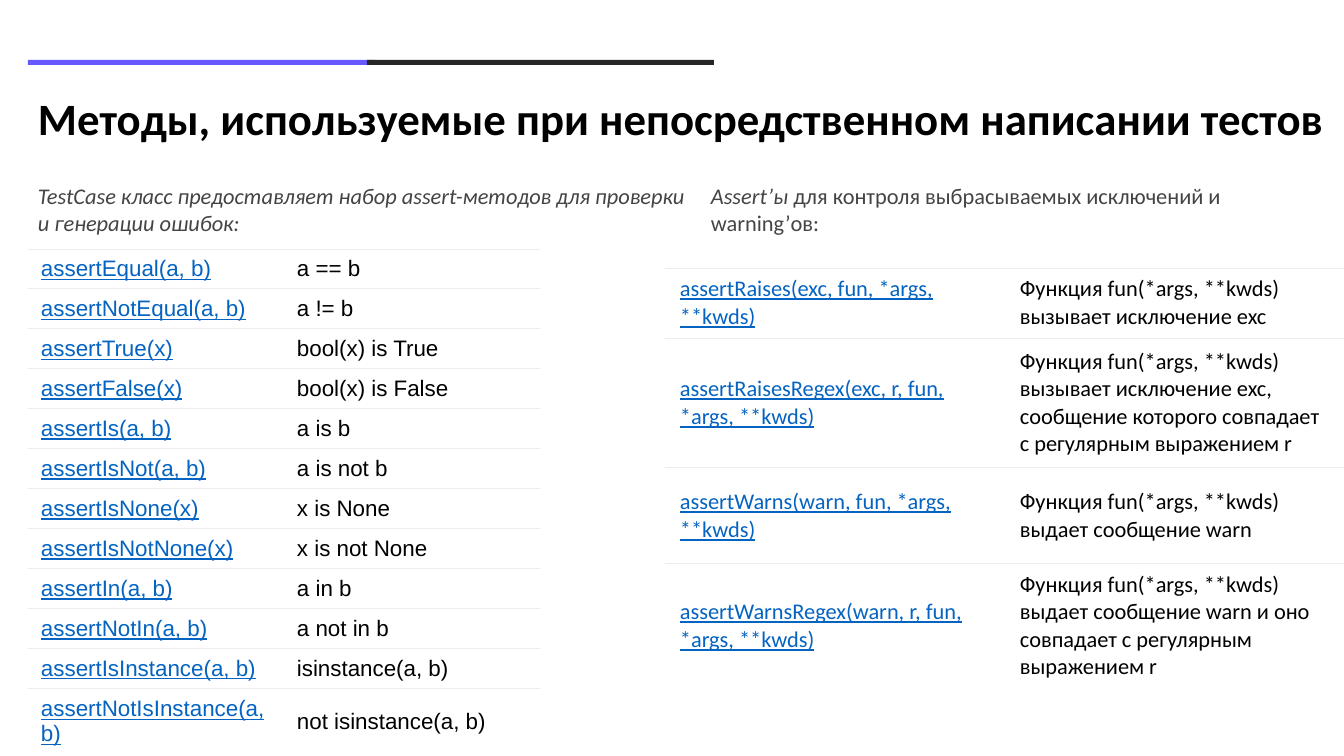
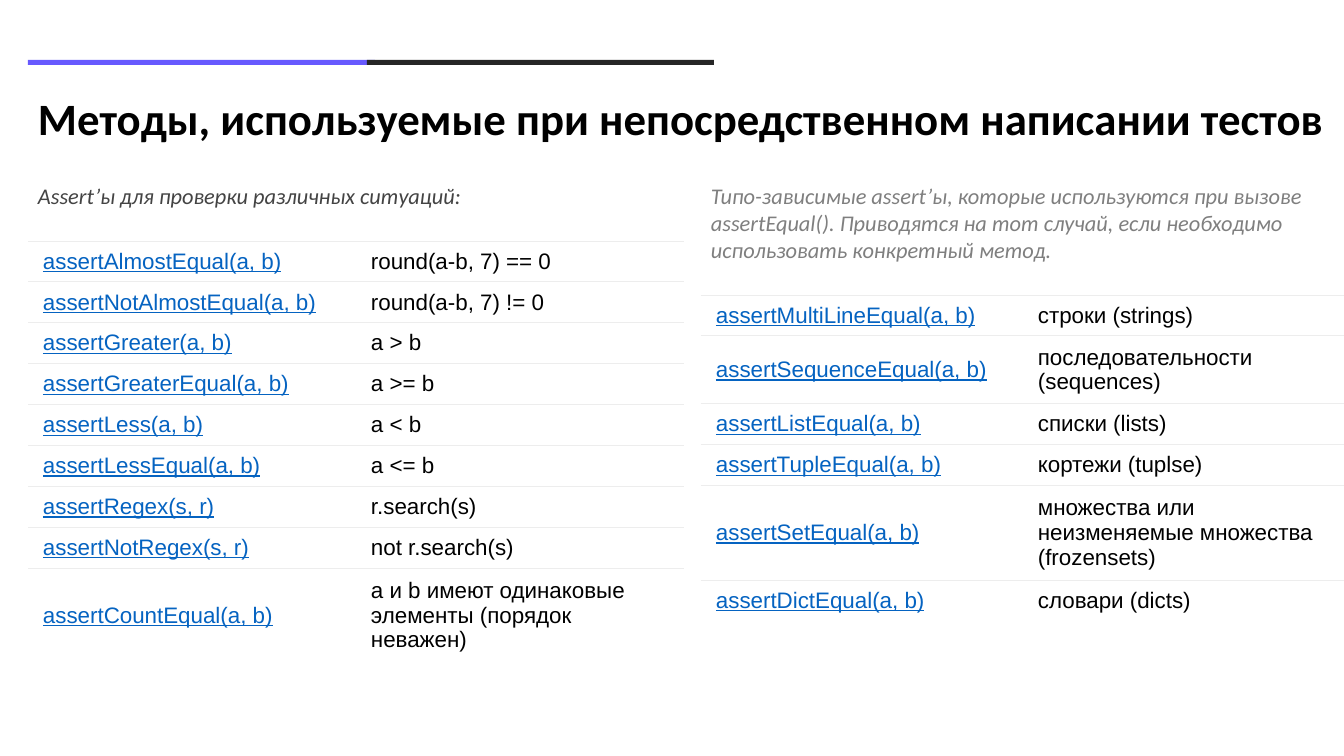
import pptx
import pptx.util
import pptx.dml.color
import pptx.enum.shapes
import pptx.enum.text
import pptx.oxml

PX = 9071.43  # EMU in one px (100.8 px to the inch)
SLIDE_W, SLIDE_H = 1344, 756
LEFT, RIGHT = 28, 701  # left edges of the two columns
VIOLET, DARK, BLACK, WHITE = "6759FE", "262626", "000000", "FFFFFF"
GRAY, LIGHT_GRAY, LINK, RULE = "444444", "7F7F7F", "0563C1", "EDEDED"
TITLE = "Методы, используемые при непосредственном написании тестов"

# Table rows: method and meaning
BASIC_ASSERTS = [
    ("assertEqual(a, b)", "a == b"),
    ("assertNotEqual(a, b)", "a != b"),
    ("assertTrue(x)", "bool(x) is True"),
    ("assertFalse(x)", "bool(x) is False"),
    ("assertIs(a, b)", "a is b"),
    ("assertIsNot(a, b)", "a is not b"),
    ("assertIsNone(x)", "x is None"),
    ("assertIsNotNone(x)", "x is not None"),
    ("assertIn(a, b)", "a in b"),
    ("assertNotIn(a, b)", "a not in b"),
    ("assertIsInstance(a, b)", "isinstance(a, b)"),
    ("assertNotIsInstance(a, b)", "not isinstance(a, b)"),
]
EXCEPTION_ASSERTS = [
    ("assertRaises(exc, fun, *args, **kwds)",
     "Функция fun(*args, **kwds) вызывает исключение exc"),
    ("assertRaisesRegex(exc, r, fun, *args, **kwds)",
     "Функция fun(*args, **kwds) вызывает исключение exc, "
     "сообщение которого совпадает с регулярным выражением r"),
    ("assertWarns(warn, fun, *args, **kwds)",
     "Функция fun(*args, **kwds) выдает сообщение warn"),
    ("assertWarnsRegex(warn, r, fun, *args, **kwds)",
     "Функция fun(*args, **kwds) выдает сообщение warn "
     "и оно совпадает с регулярным выражением r"),
]
SITUATION_ASSERTS = [
    ("assertAlmostEqual(a, b)", "round(a-b, 7) == 0"),
    ("assertNotAlmostEqual(a, b)", "round(a-b, 7) != 0"),
    ("assertGreater(a, b)", "a > b"),
    ("assertGreaterEqual(a, b)", "a >= b"),
    ("assertLess(a, b)", "a < b"),
    ("assertLessEqual(a, b)", "a <= b"),
    ("assertRegex(s, r)", "r.search(s)"),
    ("assertNotRegex(s, r)", "not r.search(s)"),
    ("assertCountEqual(a, b)",
     "a и b имеют одинаковые элементы (порядок неважен)"),
]
TYPE_ASSERTS = [
    ("assertMultiLineEqual(a, b)", "строки (strings)"),
    ("assertSequenceEqual(a, b)", "последовательности (sequences)"),
    ("assertListEqual(a, b)", "списки (lists)"),
    ("assertTupleEqual(a, b)", "кортежи (tuplse)"),
    ("assertSetEqual(a, b)",
     "множества или неизменяемые множества (frozensets)"),
    ("assertDictEqual(a, b)", "словари (dicts)"),
]


def px(n):
    return pptx.util.Emu(round(n * PX))


def rgb(color):
    return pptx.dml.color.RGBColor.from_string(color)


def format_run(r, color, font="Calibri", size=16, **style):
    r.font.name, r.font.size = font, pptx.util.Pt(size)
    r.font.color.rgb = rgb(color)
    for name, value in style.items():
        setattr(r.font, name, value)


def add_bar(slide, x, color):
    sp = slide.shapes.add_shape(pptx.enum.shapes.MSO_SHAPE.RECTANGLE,
                                px(x), px(60), px(347), px(5))
    sp.shadow.inherit = False
    sp.fill.solid()
    sp.fill.fore_color.rgb = rgb(color)
    sp.line.fill.background()


def add_textbox(slide, x, y, w, h):
    tf = slide.shapes.add_textbox(px(x), px(y), px(w), px(h)).text_frame
    tf.word_wrap = True
    return tf


def add_title(slide):
    tf = add_textbox(slide, LEFT, 92, SLIDE_W - LEFT, 58)
    tf.vertical_anchor = pptx.enum.text.MSO_ANCHOR.MIDDLE
    p = tf.paragraphs[0]
    p.text = TITLE
    p.line_spacing = 0.9
    format_run(p.runs[0], BLACK, size=32, bold=True)


def add_caption(slide, x, w, h, italic, plain="", color=GRAY):
    p = add_textbox(slide, x, 177, w, h).paragraphs[0]
    for text, slanted in ((italic, True), (plain, False)):
        if text:
            r = p.add_run()
            r.text = text
            format_run(r, color, italic=slanted)


def set_borders(cell, top_only):
    """Thin rules above and below a cell, none at its sides."""
    ruled = ("lnT",) if top_only else ("lnT", "lnB")
    pr = cell._tc.get_or_add_tcPr()
    for side in ("lnL", "lnR", "lnT", "lnB"):
        fill = (f'<a:solidFill><a:srgbClr val="{RULE}"/></a:solidFill>'
                if side in ruled else "<a:noFill/>")
        pr.append(pptx.oxml.parse_xml(
            f'<a:{side} w="9525" xmlns:a="http://schemas.openxmlformats.org/'
            f'drawingml/2006/main">{fill}</a:{side}>'))


def add_method_table(slide, x, y, col_w, heights, rows,
                     font="Arial", inset=(15, 7)):
    table = slide.shapes.add_table(len(rows), 2, px(x), px(y), px(2 * col_w),
                                   px(sum(heights))).table
    table.first_row = table.horz_banding = False
    for col in table.columns:
        col.width = px(col_w)
    for i, (height, row) in enumerate(zip(heights, rows)):
        table.rows[i].height = px(height)
        for j, text in enumerate(row):
            cell = table.cell(i, j)
            set_borders(cell, top_only=i == len(rows) - 1)
            cell.fill.solid()
            cell.fill.fore_color.rgb = rgb(WHITE)
            cell.vertical_anchor = pptx.enum.text.MSO_ANCHOR.MIDDLE
            cell.margin_left = cell.margin_right = px(inset[0])
            cell.margin_top = cell.margin_bottom = px(inset[1])
            cell.text_frame.text = text
            format_run(cell.text_frame.paragraphs[0].runs[0],
                       BLACK if j else LINK, font, underline=j == 0)


def add_slide(prs):
    """A slide with the shared bars and title."""
    slide = prs.slides.add_slide(prs.slide_layouts[6])
    add_title(slide)
    add_bar(slide, LEFT, VIOLET)
    add_bar(slide, 367, DARK)
    return slide


def main():
    prs = pptx.Presentation()
    prs.slide_width, prs.slide_height = px(SLIDE_W), px(SLIDE_H)

    # Basic checks and exception checks
    slide = add_slide(prs)
    add_caption(slide, LEFT, 672, 64,
                "TestCase класс предоставляет набор assert-методов "
                "для проверки и генерации ошибок:")
    add_method_table(slide, LEFT, 249, 256, [40] * 11 + [57], BASIC_ASSERTS,
                     inset=(13, 6))
    add_caption(slide, RIGHT, 643, 64, "Assert’ы",
                " для контроля выбрасываемых исключений и warning’ов:")
    add_method_table(slide, 665, 268, 340, [70, 130, 96, 124],
                     EXCEPTION_ASSERTS, font="Calibri")

    # Checks for various situations and for types
    slide = add_slide(prs)
    add_caption(slide, LEFT, 672, 37,
                "Assert’ы для проверки различных ситуаций:")
    add_method_table(slide, LEFT, 241, 328, [39] * 8 + [89],
                     SITUATION_ASSERTS)
    add_caption(slide, RIGHT, 643, 92,
                "Типо-зависимые assert’ы, которые используются при "
                "вызове assertEqual(). Приводятся на тот случай, если "
                "необходимо использовать конкретный метод.",
                color=LIGHT_GRAY)
    add_method_table(slide, RIGHT, 295, 322, [39, 64, 39, 39, 89, 39],
                     TYPE_ASSERTS)

    prs.save("out.pptx")


if __name__ == "__main__":
    main()
